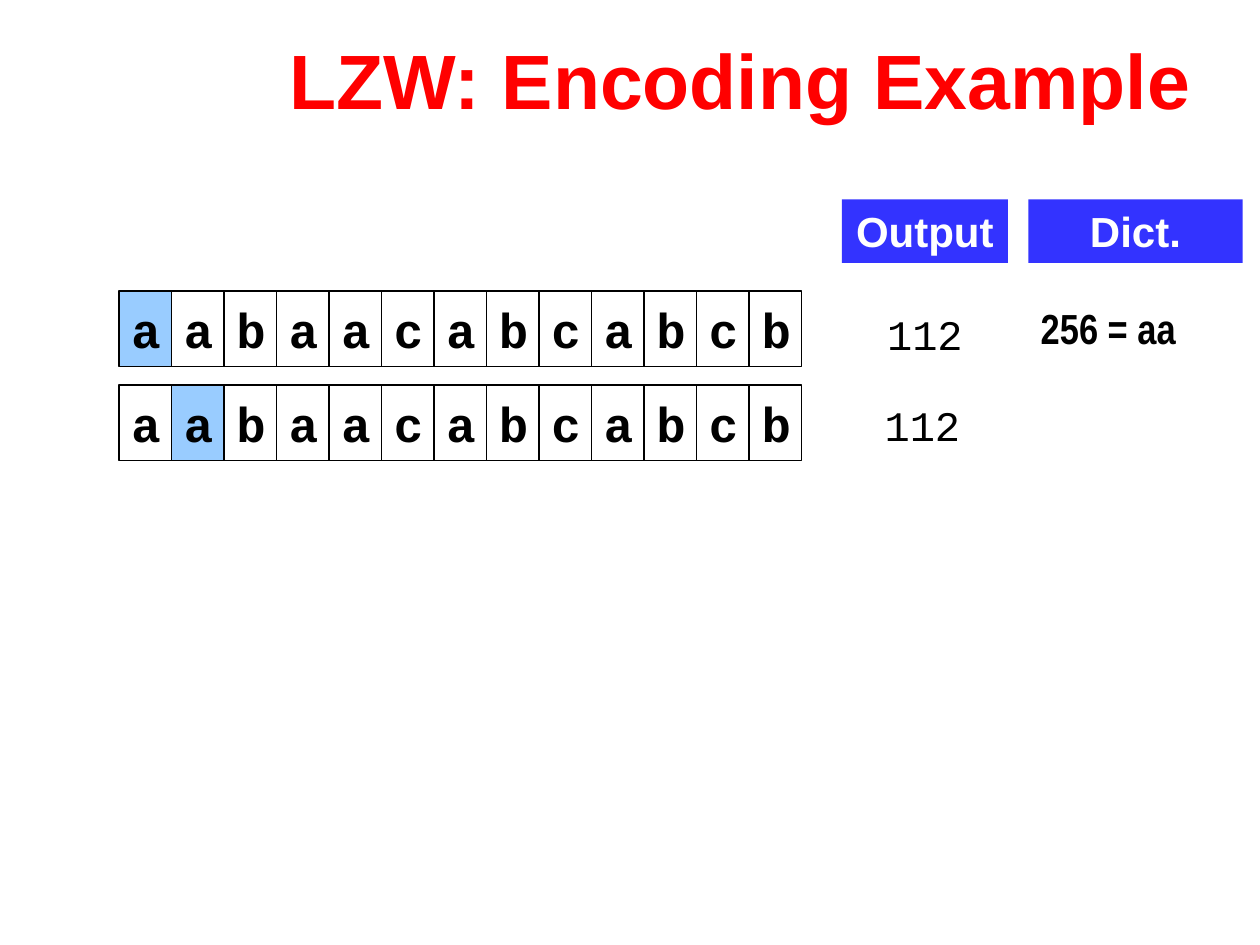
from collections import namedtuple
from dataclasses import dataclass

from pptx import Presentation
from pptx.dml.color import RGBColor
from pptx.enum.shapes import MSO_SHAPE
from pptx.enum.text import MSO_ANCHOR, MSO_AUTO_SIZE, PP_ALIGN
from pptx.util import Cm, Pt

RECTANGLE = MSO_SHAPE.RECTANGLE
TOP, MIDDLE = MSO_ANCHOR.TOP, MSO_ANCHOR.MIDDLE
FIXED, GROW = MSO_AUTO_SIZE.NONE, MSO_AUTO_SIZE.SHAPE_TO_FIT_TEXT
LEFT, CENTER = PP_ALIGN.LEFT, PP_ALIGN.CENTER

Box = namedtuple("Box", "left top width height")


@dataclass(frozen=True)
class Theme:
    """Colours, fonts and type sizes of the slide."""
    red: RGBColor = RGBColor(0xFF, 0x00, 0x00)
    blue: RGBColor = RGBColor(0x33, 0x33, 0xFF)
    highlight: RGBColor = RGBColor(0x99, 0xCC, 0xFF)
    white: RGBColor = RGBColor(0xFF, 0xFF, 0xFF)
    black: RGBColor = RGBColor(0x00, 0x00, 0x00)
    sans: str = "Arial"
    narrow: str = "Arial Narrow"
    mono: str = "Courier New"
    title_size: Pt = Pt(44)
    symbol_size: Pt = Pt(28)
    body_size: Pt = Pt(24)
    line_width: Pt = Pt(0.75)


THEME = Theme()
SYMBOLS = "aabaacabcabcb"


def lengths(box):
    """Convert a box in centimetres to slide lengths."""
    return [Cm(value) for value in box]


def write_text(shape, text, font, frame, alignment=LEFT):
    """Write one paragraph with the given font and frame formats."""
    text_frame = shape.text_frame
    for name, value in frame.items():
        setattr(text_frame, name, value)
    paragraph = text_frame.paragraphs[0]
    paragraph.alignment = alignment
    run = paragraph.add_run()
    run.text = text
    font = dict(font)
    run.font.color.rgb = font.pop("color")
    for name, value in font.items():
        setattr(run.font, name, value)


def add_rectangle(slide, box, fill):
    """Add a plain filled rectangle without shadow or outline."""
    shape = slide.shapes.add_shape(RECTANGLE, *lengths(box))
    shape.shadow.inherit = False
    shape.fill.solid()
    shape.fill.fore_color.rgb = fill
    shape.line.fill.background()
    return shape


def add_title(slide, box, text):
    """Add the slide title."""
    font = dict(name=THEME.sans, size=THEME.title_size, bold=True, color=THEME.red)
    frame = dict(word_wrap=True, vertical_anchor=MIDDLE, auto_size=FIXED)
    write_text(slide.shapes.add_textbox(*lengths(box)), text, font, frame)


def add_column_header(slide, box, text):
    """Add a blue column header."""
    font = dict(name=THEME.sans, size=THEME.body_size, bold=True, color=THEME.white)
    frame = dict(word_wrap=True, vertical_anchor=TOP, auto_size=GROW)
    write_text(add_rectangle(slide, box, THEME.blue), text, font, frame, CENTER)


def add_symbol_row(slide, box, symbols, current):
    """Add the input as equal cells, highlighting the current symbol."""
    font = dict(name=THEME.mono, size=THEME.symbol_size, bold=True, color=THEME.black)
    frame = dict(word_wrap=False, vertical_anchor=MIDDLE, auto_size=FIXED)
    width = box.width / len(symbols)
    for index, symbol in enumerate(symbols):
        cell_box = box._replace(left=box.left + index * width, width=width)
        fill = THEME.highlight if index == current else THEME.white
        cell = add_rectangle(slide, cell_box, fill)
        cell.line.color.rgb = THEME.black
        cell.line.width = THEME.line_width
        write_text(cell, symbol, font, frame)


def add_output_code(slide, box, code):
    """Add an emitted code in the output column."""
    font = dict(name=THEME.mono, size=THEME.body_size, bold=False, color=THEME.black)
    frame = dict(word_wrap=True, vertical_anchor=TOP, auto_size=GROW)
    write_text(slide.shapes.add_textbox(*lengths(box)), code, font, frame, CENTER)


def add_dictionary_entry(slide, box, entry):
    """Add a new entry in the dictionary column."""
    font = dict(name=THEME.narrow, size=THEME.body_size, bold=True, color=THEME.black)
    frame = dict(word_wrap=False, vertical_anchor=TOP, auto_size=GROW)
    write_text(slide.shapes.add_textbox(*lengths(box)), entry, font, frame)


def main():
    """Build and save the slide."""
    presentation = Presentation()
    presentation.slide_width, presentation.slide_height = Cm(25.4), Cm(19.05)
    slide = presentation.slides.add_slide(presentation.slide_layouts[6])

    add_title(slide, Box(5.59, 0.23, 19.63, 2.72), "LZW: Encoding Example")
    add_column_header(slide, Box(16.97, 4.02, 3.35, 1.28), "Output")
    add_column_header(slide, Box(20.73, 4.02, 4.32, 1.28), "Dict.")
    for step in range(2):
        row = Box(2.4, 5.87 + step * 1.89, 13.76, 1.52)
        add_symbol_row(slide, row, SYMBOLS, step)
    add_output_code(slide, Box(16.97, 6.1, 3.35, 1.28), "112")
    add_output_code(slide, Box(16.92, 7.93, 3.35, 1.28), "112")
    add_dictionary_entry(slide, Box(20.73, 5.97, 3.28, 1.28), "256 = aa")

    presentation.save("out.pptx")


if __name__ == "__main__":
    main()
